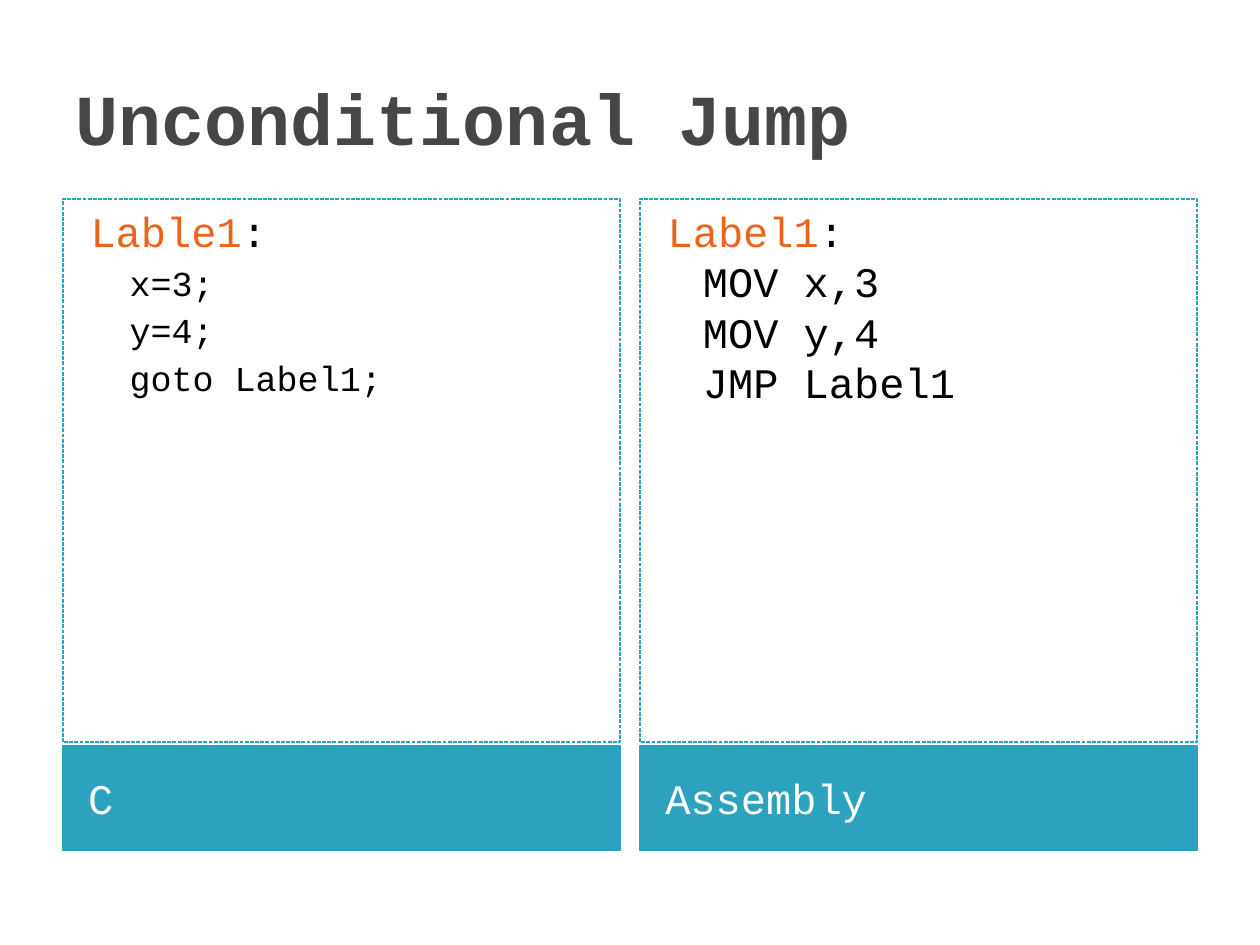
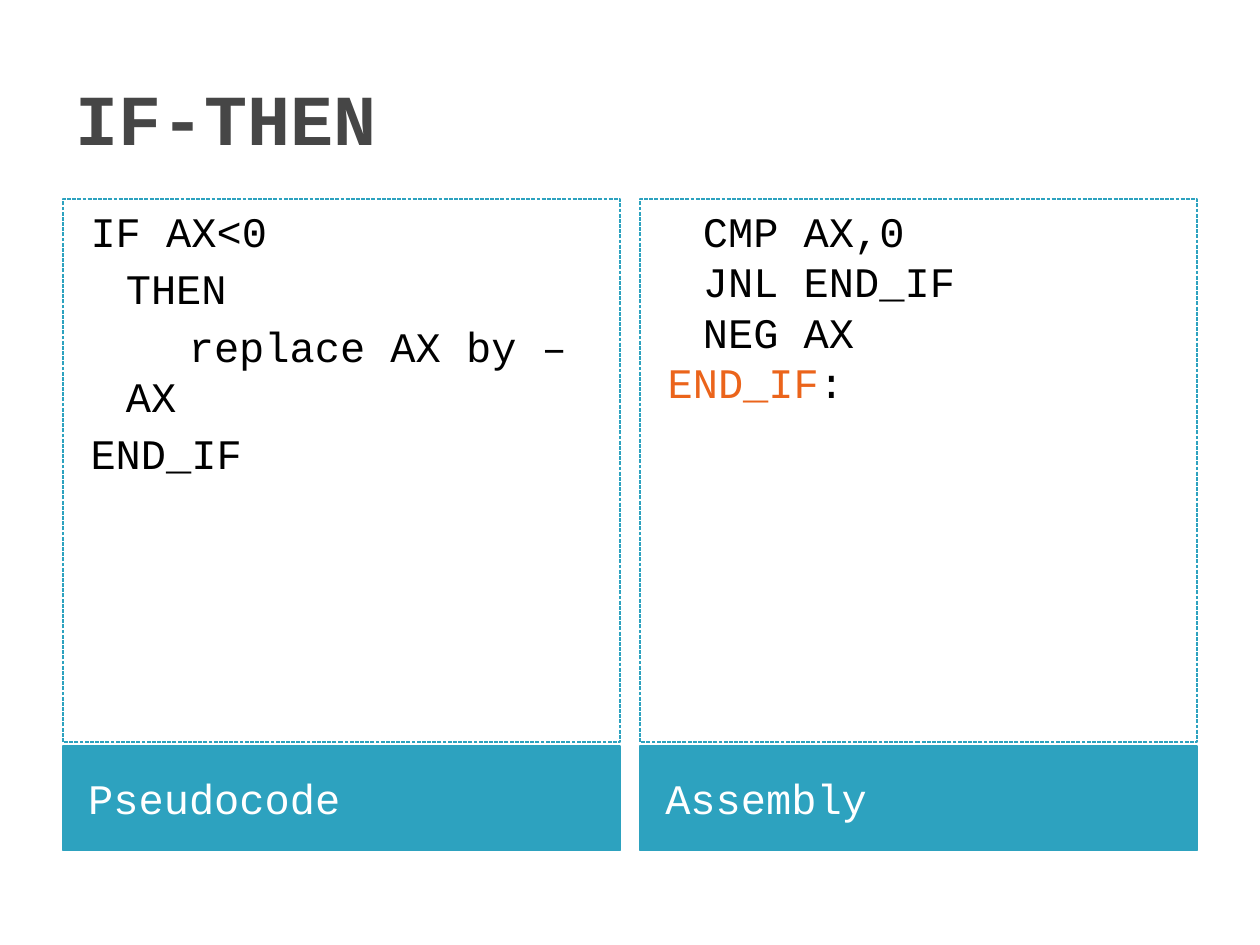
from pptx import Presentation
from pptx.dml.color import RGBColor
from pptx.enum.dml import MSO_LINE
from pptx.enum.shapes import MSO_SHAPE as Shape
from pptx.enum.text import MSO_ANCHOR as Anchor, MSO_AUTO_SIZE as AutoSize, PP_ALIGN as Align
from pptx.util import Pt

COLOURS = {"title": "464646", "accent": "2DA2BF", "label": "EB641B",
           "code": "000000", "caption": "FFFFFF"}
FONT = "Courier New"
COLUMN_LEFTS = (36, 365.75)
COLUMN_WIDTH = 318.25
PANEL_TOP, PANEL_HEIGHT = 113.75, 310.25
CAPTION_TOP, CAPTION_HEIGHT = 426.25, 59.75
LEVELS = (
    {"size": 24, "margin": 28.8, "hanging": 20.16},
    {"size": 20, "margin": 48.96, "hanging": 18},
)


def colour(name):
    return RGBColor.from_string(COLOURS[name])


def apply(target, values):
    for name, value in values.items():
        setattr(target, name, value)


def add_span(paragraph, text, size, colour_name, bold=False):
    span = paragraph.add_run()
    span.text = text
    apply(span.font, {"name": FONT, "size": Pt(size), "bold": bold})
    span.font.color.rgb = colour(colour_name)


def add_title(page, text):
    title = page.shapes.title
    apply(title, {"left": Pt(36), "top": Pt(21.6), "width": Pt(648), "height": Pt(90)})
    apply(title.text_frame, {"vertical_anchor": Anchor.MIDDLE, "word_wrap": True,
                             "auto_size": AutoSize.NONE})
    paragraph = title.text_frame.paragraphs[0]
    paragraph.alignment = Align.LEFT
    add_span(paragraph, text, 41, "title", bold=True)


def add_box(page, left, top, height, anchor):
    box = page.shapes.add_shape(Shape.RECTANGLE, Pt(left), Pt(top),
                                Pt(COLUMN_WIDTH), Pt(height))
    box.shadow.inherit = False
    box.line.color.rgb = colour("accent")
    box.line.width = Pt(0.75)
    apply(box.text_frame, {"vertical_anchor": anchor, "word_wrap": True})
    return box


def add_caption(page, left, text):
    box = add_box(page, left, CAPTION_TOP, CAPTION_HEIGHT, Anchor.MIDDLE)
    box.fill.solid()
    box.fill.fore_color.rgb = colour("accent")
    box.text_frame.margin_left = Pt(14.4)
    paragraph = box.text_frame.paragraphs[0]
    apply(paragraph, {"alignment": Align.LEFT, "space_before": Pt(4)})
    add_span(paragraph, text, 24, "caption")


def add_code_line(paragraph, text, level, space):
    style = LEVELS[level]
    apply(paragraph, {"alignment": Align.LEFT, "level": level, "space_before": Pt(space)})
    properties = paragraph._p.get_or_add_pPr()
    properties.set("marL", str(Pt(style["margin"])))
    properties.set("indent", str(-Pt(style["hanging"])))
    if text.endswith(":"):
        add_span(paragraph, text[:-1], style["size"], "label")
        text = ":"
    add_span(paragraph, text, style["size"], "code")


def add_panel(page, left, lines, spaces):
    box = add_box(page, left, PANEL_TOP, PANEL_HEIGHT, Anchor.TOP)
    box.fill.background()
    box.line.dash_style = MSO_LINE.SQUARE_DOT
    frame = box.text_frame
    for index, (text, level) in enumerate(lines):
        paragraph = frame.add_paragraph() if index else frame.paragraphs[0]
        add_code_line(paragraph, text, level, spaces[level])


def add_comparison(deck, title, source_name, source_lines, assembly_lines):
    page = deck.slides.add_slide(deck.slide_layouts[5])
    add_title(page, title)
    columns = (
        (source_name, source_lines, (4, 3.2)),
        ("Assembly", [(text, 0) for text in assembly_lines], (0, 0)),
    )
    for left, (caption, lines, spaces) in zip(COLUMN_LEFTS, columns):
        add_caption(page, left, caption)
        add_panel(page, left, lines, spaces)


def main():
    deck = Presentation()
    apply(deck, {"slide_width": Pt(720), "slide_height": Pt(540)})
    add_comparison(
        deck, "Unconditional Jump", "C",
        [("Lable1:", 0), ("x=3;", 1), ("y=4;", 1), ("goto Label1;", 1)],
        ["Label1:", "\tMOV x,3", "\tMOV y,4", "\tJMP Label1"])
    add_comparison(
        deck, "IF-THEN", "Pseudocode",
        [("IF AX<0", 0), ("\tTHEN", 0), ("\t\treplace AX by –AX", 0), ("END_IF", 0)],
        ["\tCMP AX,0", "\tJNL END_IF", "\tNEG AX", "END_IF:"])
    deck.save("out.pptx")


main()
